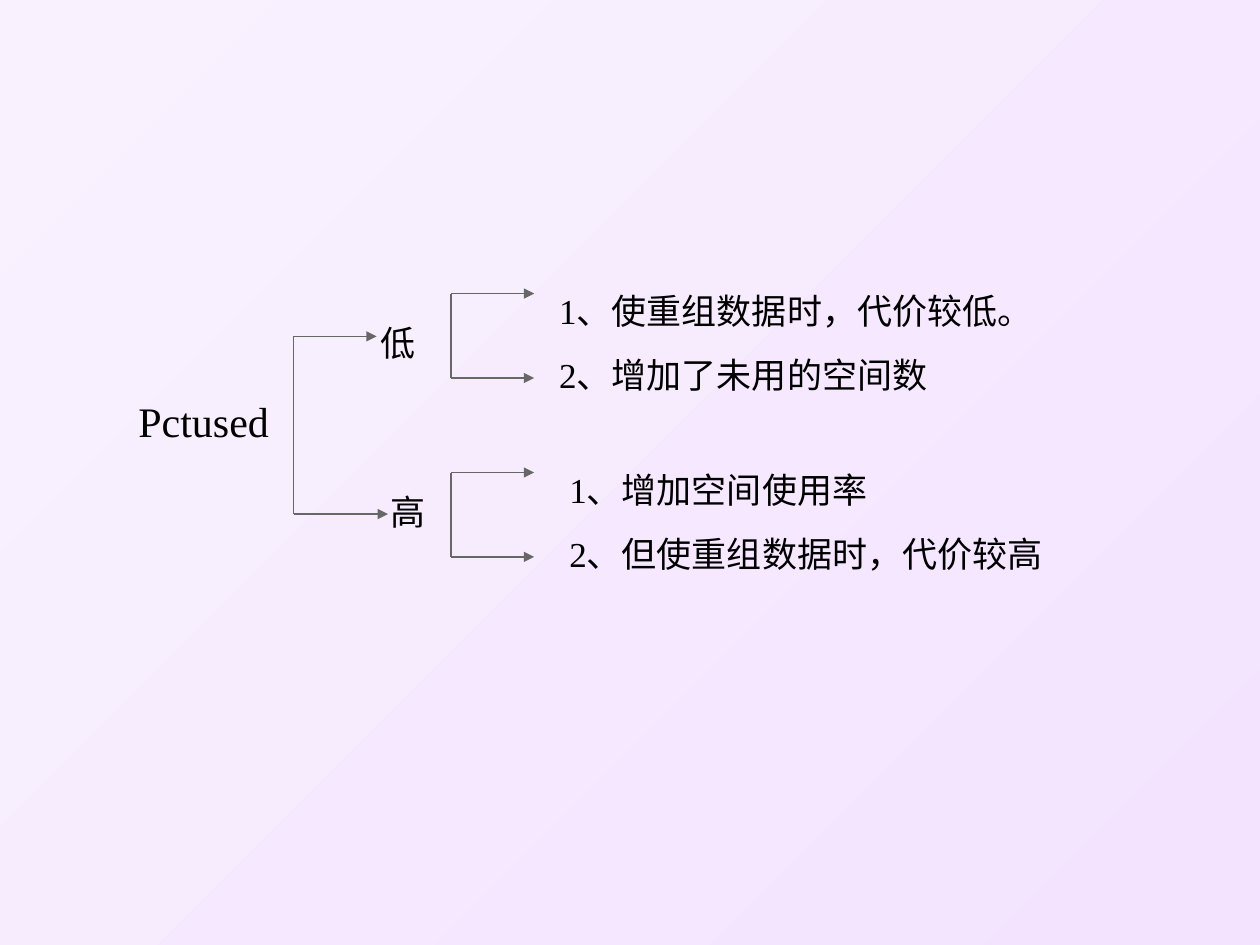
"""Build a slide with a branching diagram of low and high Pctused values."""
from pptx import Presentation
from pptx.dml.color import RGBColor
from pptx.enum.shapes import MSO_CONNECTOR
from pptx.enum.text import MSO_AUTO_SIZE
from pptx.oxml.ns import qn
from pptx.util import Inches, Pt
from lxml import etree

STRAIGHT = MSO_CONNECTOR.STRAIGHT
GROW = MSO_AUTO_SIZE.SHAPE_TO_FIT_TEXT
COLORS = {"text": "000000", "line": "676767", "dark": "F3E3FF", "light": "F9F2FE"}


class Diagram:
    """Hold the style and the current slide."""

    font = "Times New Roman"
    line_width = Pt(1)

    def __init__(self, page):
        self.page = page

    def color(self, name):
        return RGBColor.from_string(COLORS[name])

    def background(self):
        fill = self.page.background.fill
        fill.gradient()
        fill.gradient_angle = 135
        for stop, name in zip(fill.gradient_stops, ("dark", "light")):
            stop.color.rgb = self.color(name)

    def text(self, left, top, width, height, lines, size=20):
        box = self.page.shapes.add_textbox(
            Inches(left), Inches(top), Inches(width), Inches(height))
        frame = box.text_frame
        frame.word_wrap = True
        frame.auto_size = GROW
        frame.text = "\n".join(lines)
        for paragraph in frame.paragraphs:
            paragraph.space_before = Pt(size * 0.625)
            paragraph.font.size = Pt(size)
            paragraph.font.name = self.font
            paragraph.font.color.rgb = self.color("text")

    def line(self, left, top, right, bottom, arrow=False):
        connector = self.page.shapes.add_connector(
            STRAIGHT, Inches(left), Inches(top), Inches(right), Inches(bottom))
        connector.line.color.rgb = self.color("line")
        connector.line.width = self.line_width
        properties = connector._element.spPr
        if arrow:
            outline = properties.find(qn("a:ln"))
            etree.SubElement(outline, qn("a:tailEnd"), type="triangle")
        etree.SubElement(properties, qn("a:effectLst"))

    def fork(self, left, top, bottom, upper_tip, lower_tip):
        self.line(left, top, left, bottom)
        self.line(left, top, upper_tip, top, arrow=True)
        self.line(left, bottom, lower_tip, bottom, arrow=True)


deck = Presentation()
deck.slide_width, deck.slide_height = Inches(10), Inches(7.5)
diagram = Diagram(deck.slides.add_slide(deck.slide_layouts[6]))
diagram.background()

diagram.text(1, 3.09, 1.33, 0.5, ["Pctused"], size=24)
diagram.fork(2.33, 2.67, 4.08, 2.99, 3.08)

diagram.text(2.92, 2.5, 0.83, 0.43, ["低"])
diagram.text(3, 3.84, 1, 0.43, ["高"])
for top in (2.33, 3.75):
    diagram.fork(3.58, top, top + 0.67, 4.24, 4.24)

diagram.text(4.34, 2.25, 4.33, 0.94,
             ["1、使重组数据时，代价较低。", "2、增加了未用的空间数"])
diagram.text(4.42, 3.67, 4.33, 0.94,
             ["1、增加空间使用率", "2、但使重组数据时，代价较高"])

deck.save("out.pptx")
